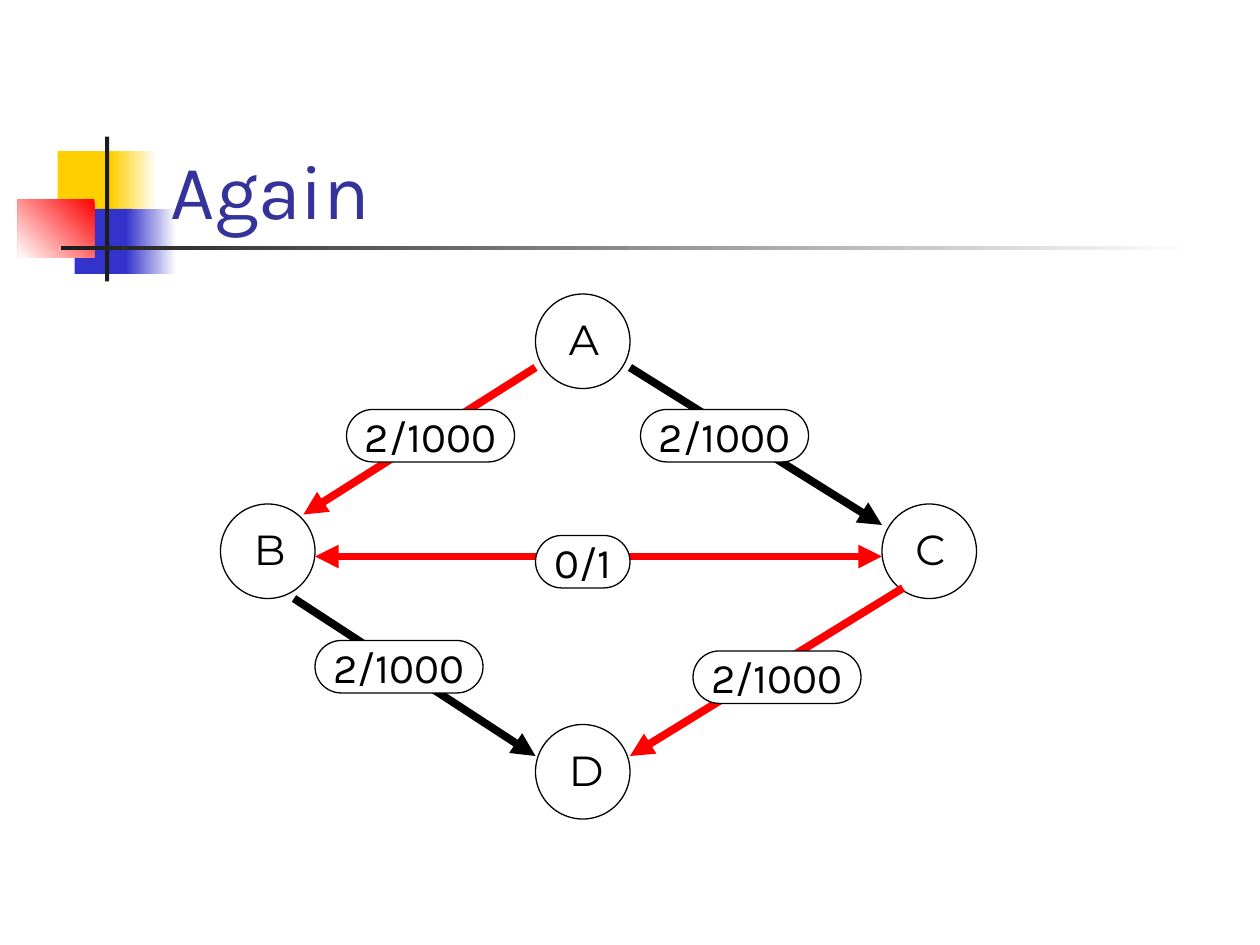
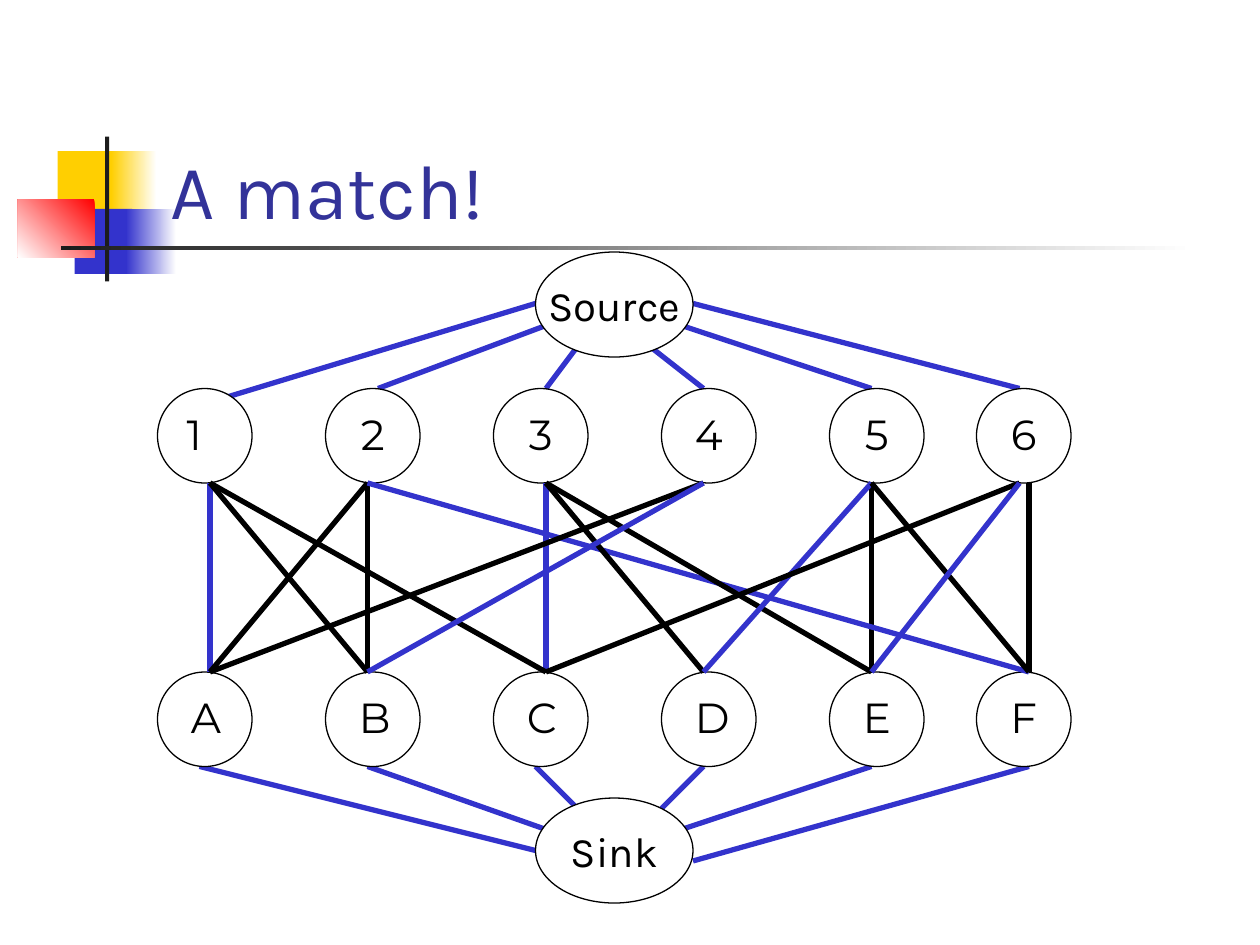
import pptx
import pptx.util
import pptx.dml.color
import pptx.enum.shapes
import pptx.enum.text
from lxml import etree
import pptx.oxml.ns

RGBColor = pptx.dml.color.RGBColor
Shape = pptx.enum.shapes.MSO_SHAPE
Align = pptx.enum.text.PP_ALIGN
Anchor = pptx.enum.text.MSO_ANCHOR
qn = pptx.oxml.ns.qn

WHITE = RGBColor(0xFF, 0xFF, 0xFF)
BLACK = RGBColor(0x00, 0x00, 0x00)
CHARCOAL = RGBColor(0x1C, 0x1C, 0x1C)
YELLOW = RGBColor(0xFF, 0xCF, 0x01)
BLUE = RGBColor(0x33, 0x33, 0xCC)
RED = RGBColor(0xFF, 0x00, 0x00)
TITLE_BLUE = RGBColor(0x33, 0x33, 0x99)

BODY_FONT = "Karla"
NODE_FONT = "Montserrat"
EMU_PER_PX = 7620  # 120 px to the inch
NODE = 90  # diameter of a graph node


def px(*lengths):
    return [pptx.util.Emu(length * EMU_PER_PX) for length in lengths]


class GraphDeck:
    def __init__(self):
        self.deck = pptx.Presentation()
        self.deck.slide_width, self.deck.slide_height = px(1200, 900)
        self.page = None

    def new_page(self, title):
        self.page = self.deck.slides.add_slide(self.deck.slide_layouts[6])
        # Coloured corner blocks and the two rules
        self.block(55, 144, 58, 62, YELLOW)
        self.block(106, 144, 43, 62, WHITE, YELLOW)
        self.block(71, 199, 55, 62, BLUE)
        self.block(120, 199, 48, 62, WHITE, BLUE)
        self.block(17, 190, 73, 55, RED, WHITE, angle=225)
        self.block(100, 130, 4, 138, CHARCOAL)
        self.block(58, 234, 1080, 4, WHITE, CHARCOAL)
        # Title
        box = self.page.shapes.add_textbox(*px(151, 80, 1022, 150))
        self.set_text(box, title, 44, BODY_FONT, TITLE_BLUE, Align.LEFT,
                      Anchor.BOTTOM, wrap=True)

    def block(self, left, top, width, height, color, end_color=None, angle=180):
        shape = self.page.shapes.add_shape(
            Shape.RECTANGLE, *px(left, top, width, height))
        shape.shadow.inherit = False
        shape.line.fill.background()
        if end_color is None:
            shape.fill.solid()
            shape.fill.fore_color.rgb = color
            return
        shape.fill.gradient()
        shape.fill.gradient_angle = angle
        for stop, stop_color in zip(shape.fill.gradient_stops, (color, end_color)):
            stop.color.rgb = stop_color

    def set_text(self, box, text, size, font, color=BLACK, align=Align.CENTER,
                 anchor=Anchor.MIDDLE, wrap=False):
        frame = box.text_frame
        frame.text = text
        frame.word_wrap = wrap
        frame.vertical_anchor = anchor
        para = frame.paragraphs[0]
        para.alignment = align
        span = para.runs[0]
        span.font.size = pptx.util.Pt(size)
        span.font.name = font
        span.font.color.rgb = color

    def outlined(self, shapes, kind, left, top, width, height):
        shape = shapes.add_shape(kind, *px(left, top, width, height))
        shape.shadow.inherit = False
        shape.fill.solid()
        shape.fill.fore_color.rgb = WHITE
        shape.line.color.rgb = BLACK
        shape.line.width = pptx.util.Pt(0.75)
        return shape

    def node(self, name, left, top, shift=0):
        group = self.page.shapes.add_group_shape()
        self.outlined(group.shapes, Shape.OVAL, left, top, NODE, NODE)
        box = group.shapes.add_textbox(*px(left + 20 + shift, top + 20, 50, 50))
        self.set_text(box, name, 24, NODE_FONT)
        box.text_frame.paragraphs[0].line_spacing = 0.97

    def hub(self, name, left, top):
        shape = self.outlined(self.page.shapes, Shape.OVAL, left, top, 150, 100)
        self.set_text(shape, name, 24, BODY_FONT)

    def flow_label(self, text, left, top, width=160):
        shape = self.outlined(self.page.shapes, Shape.ROUNDED_RECTANGLE,
                              left, top, width, 50)
        shape.adjustments[0] = 0.5
        self.set_text(shape, text, 24, BODY_FONT)

    def edge(self, start, end, color, width=3, arrows=()):
        line = self.page.shapes.add_connector(
            pptx.enum.shapes.MSO_CONNECTOR.STRAIGHT, *px(*start, *end))
        line.line.color.rgb = color
        line.line.width = pptx.util.Pt(width)
        properties = line._element.spPr
        outline = properties.find(qn("a:ln"))
        for arrow in arrows:
            etree.SubElement(outline, qn(f"a:{arrow}"), type="triangle")
        etree.SubElement(properties, qn("a:effectLst"))


def build_flow_page(deck):
    deck.new_page("Again")
    # Nodes
    for name, left, top in [("D", 510, 690), ("C", 840, 480),
                            ("B", 210, 480), ("A", 510, 280)]:
        deck.node(name, left, top)
    # Edges; red ones carry the augmenting path
    one_way, two_way = ("tailEnd",), ("headEnd", "tailEnd")
    for start, end, color, arrows in [
        ((600, 350), (840, 500), BLACK, one_way),
        ((860, 560), (600, 720), RED, one_way),
        ((510, 350), (289, 490), RED, one_way),
        ((280, 570), (510, 720), BLACK, one_way),
        ((300, 530), (840, 530), RED, two_way),
    ]:
        deck.edge(start, end, color, 4.5, arrows)
    # Flow over capacity
    for left, top in [(300, 610), (660, 620), (330, 390), (610, 390)]:
        deck.flow_label("2/1000", left, top)
    deck.flow_label("0/1", 510, 510, width=90)


def build_match_page(deck):
    deck.new_page("A match!")
    columns = [150, 310, 470, 630, 790, 930]
    upper_top, lower_top = 370, 640
    # Source and sink edges, left to right
    source_edges = [
        ((210, 380), (510, 289)), ((360, 370), (520, 310)),
        ((520, 370), (550, 330)), ((670, 370), (619, 330)),
        ((830, 370), (649, 310)), ((971, 370), (660, 289)),
    ]
    sink_edges = [
        ((190, 730), (510, 810)), ((350, 730), (520, 790)),
        ((510, 730), (550, 770)), ((670, 730), (630, 770)),
        ((830, 730), (649, 790)), ((980, 730), (660, 820)),
    ]
    for start, end in source_edges + sink_edges:
        deck.edge(start, end, BLUE)
    # Two rows of nodes
    for names, top in [("ABCDEF", lower_top), ("123456", upper_top)]:
        for name, left in zip(names, columns):
            deck.node(name, left, top, shift=-10 if name == "1" else 0)
    # Candidate pairs; blue ones form the matching
    ports = [200, 350, 520, 670, 830, 980]
    upper_ports = dict(zip("123456", ports))
    lower_ports = dict(zip("ABCDEF", ports))
    matching = {"1A", "2F", "3C", "4B", "5D", "6E"}
    pairs = "1A 2B 3C 5E 6F 1B 1C 2A 2F 3D 3E 4A 4B 5D 5F 6C 6E"
    for pair in pairs.split():
        upper, lower = pair
        start_x = 971 if pair in ("6C", "6E") else upper_ports[upper]
        deck.edge((start_x, upper_top + NODE), (lower_ports[lower], lower_top),
                  BLUE if pair in matching else BLACK)
    # Hubs
    deck.hub("Source", 510, 240)
    deck.hub("Sink", 510, 760)


def main():
    graph_deck = GraphDeck()
    build_flow_page(graph_deck)
    build_match_page(graph_deck)
    graph_deck.deck.save("out.pptx")


if __name__ == "__main__":
    main()
